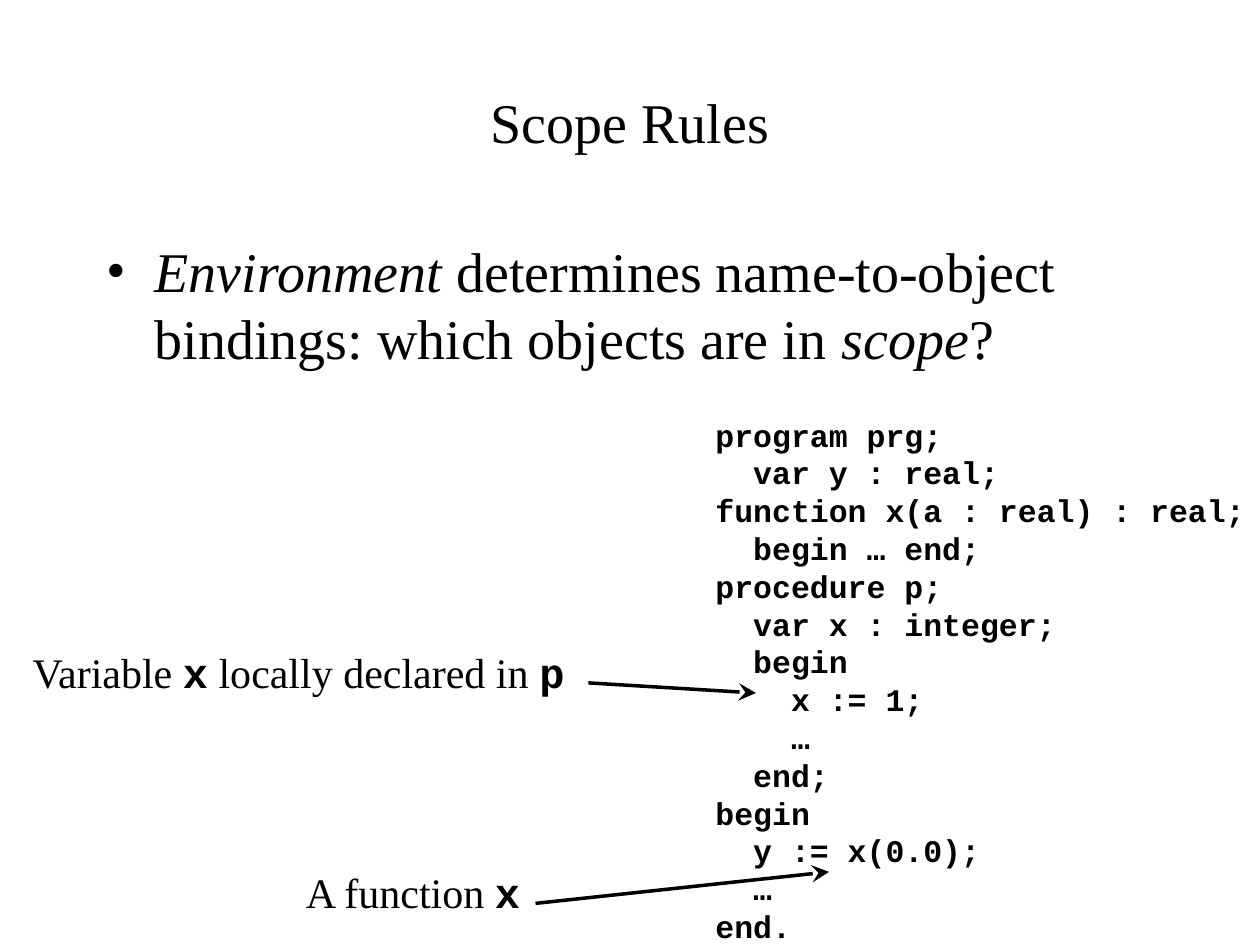
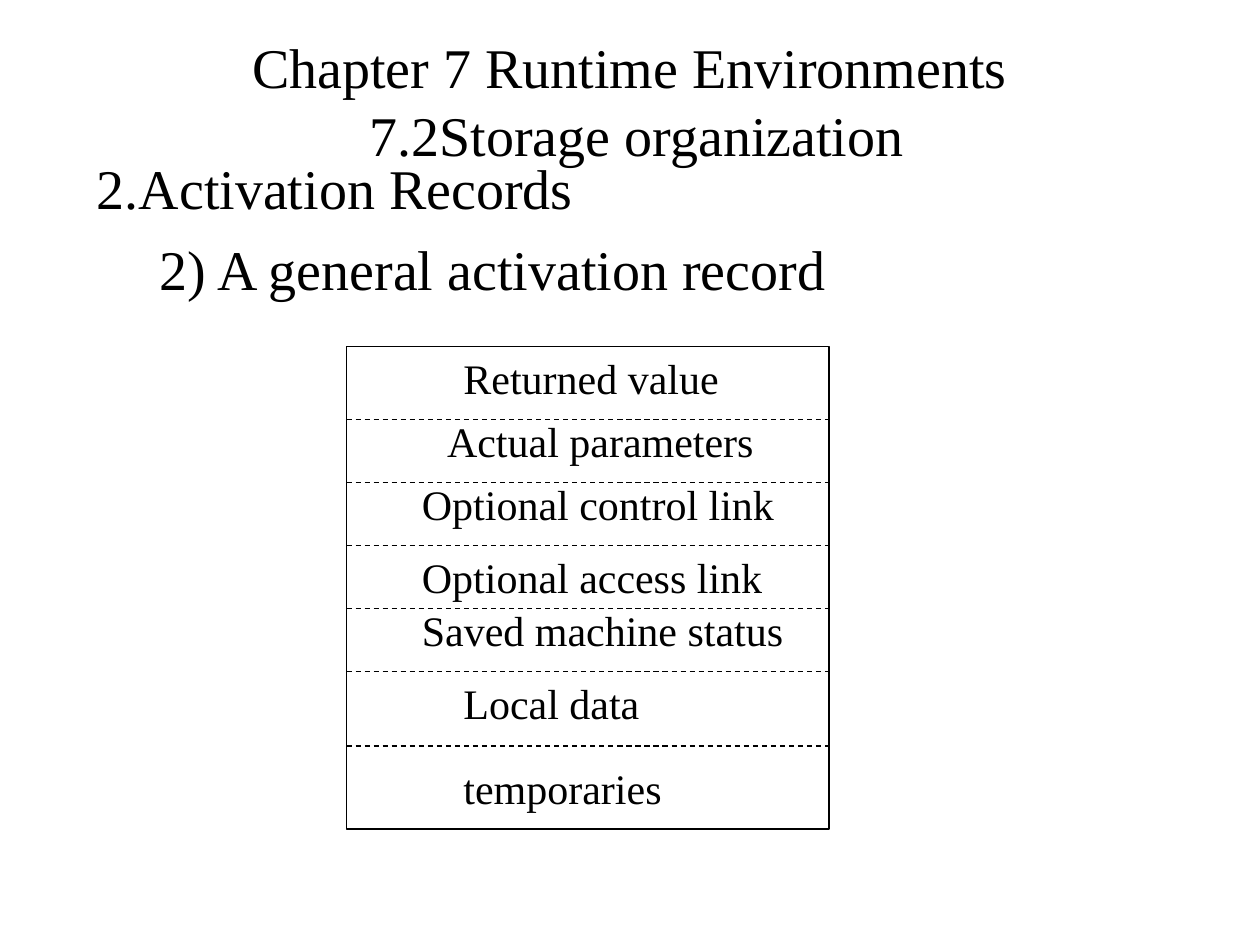
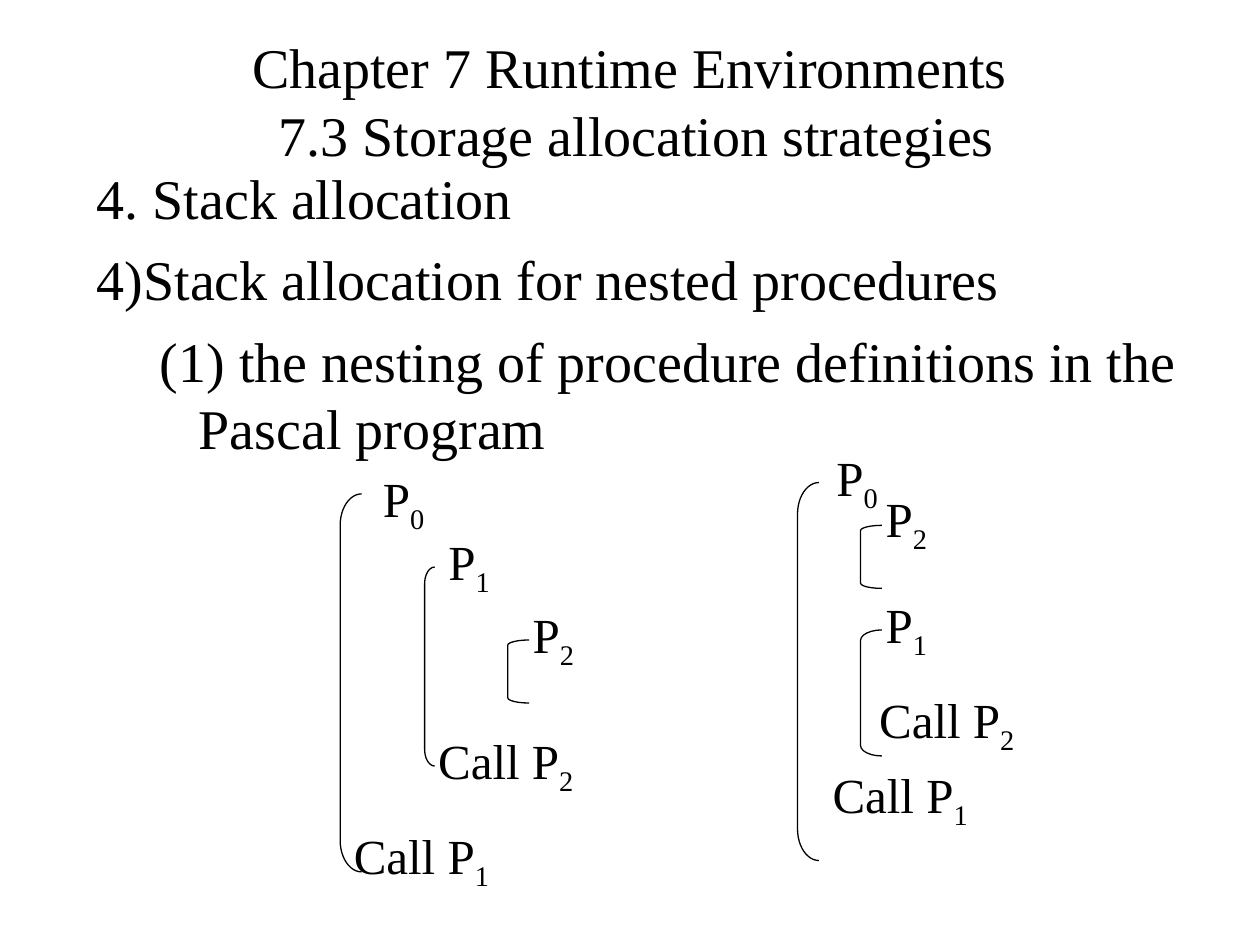
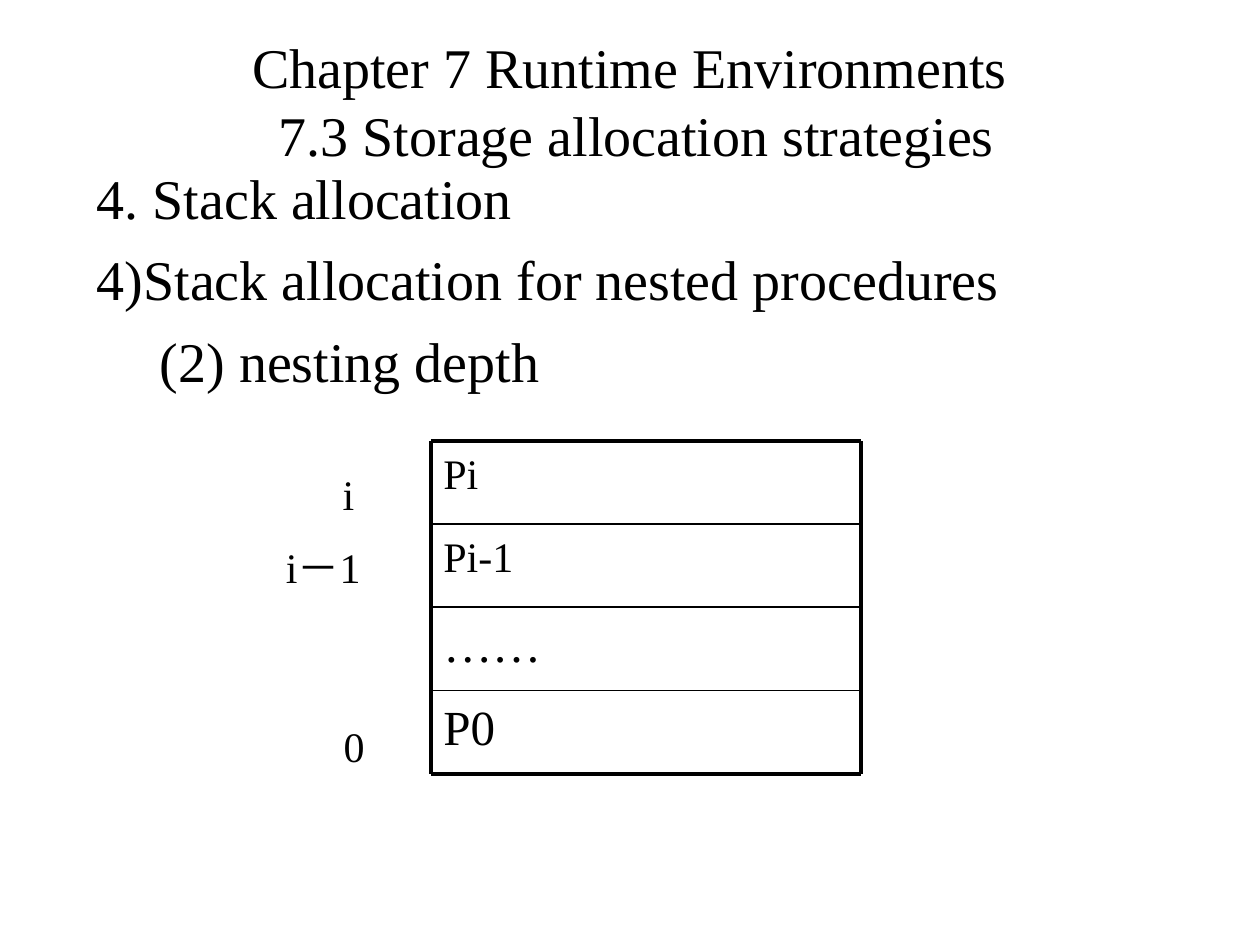
import lxml.etree
import pptx
import pptx.dml.color
import pptx.enum.dml
import pptx.enum.shapes
import pptx.enum.text
import pptx.oxml.ns
import pptx.util

Inches = pptx.util.Inches
Pt = pptx.util.Pt
qn = pptx.oxml.ns.qn

BLACK = pptx.dml.color.RGBColor(0x00, 0x00, 0x00)
WHITE = pptx.dml.color.RGBColor(0xFF, 0xFF, 0xFF)
SERIF = "Times New Roman"
MONO = "Courier New"
TITLE_ONLY = 5
HEADING_SIZE = 32
LABEL_SIZE = 24
CALL_SIZE = 28
INDENTS = [(0.38, -0.38), (0.81, -0.31)]
STACK_HEADINGS = [("4. Stack allocation", 0), ("4)Stack allocation for nested procedures", 0)]
STRATEGIES_TITLE = "Chapter 7 Runtime Environments\n 7.3 Storage allocation strategies"

DECLARATIONS = """program prg;
  var y : real;
function x(a : real) : real;
  begin … end;
procedure p;
  var x : integer;
  begin
    x := 1;
    …
  end;
begin"""
MAIN_BLOCK = """  y := x(0.0);
  …
end."""


def set_font(paragraph, size, name=SERIF, bold=False):
    """Give a whole paragraph its typeface, size and colour."""
    paragraph.font.name = name
    paragraph.font.size = Pt(size)
    paragraph.font.bold = bold
    paragraph.font.color.rgb = BLACK


def add_runs(paragraph, runs):
    """Add (text, style) runs; style is plain, italic, code or subscript."""
    for text, style in runs:
        run = paragraph.add_run()
        run.text = text
        if style == "italic":
            run.font.italic = True
        elif style == "code":
            run.font.name = MONO
            run.font.bold = True
        elif style == "subscript":
            run._r.get_or_add_rPr().set("baseline", "-25000")


def add_titled_slide(presentation, title, height=1.25):
    """Add a white slide with a centred title."""
    slide = presentation.slides.add_slide(presentation.slide_layouts[TITLE_ONLY])
    slide.background.fill.solid()
    slide.background.fill.fore_color.rgb = WHITE
    placeholder = slide.shapes.title
    placeholder.left, placeholder.top = Inches(0.75), Inches(0.17)
    placeholder.width, placeholder.height = Inches(8.5), Inches(height)
    frame = placeholder.text_frame
    frame.auto_size = pptx.enum.text.MSO_AUTO_SIZE.NONE
    frame.vertical_anchor = pptx.enum.text.MSO_ANCHOR.MIDDLE
    paragraph = frame.paragraphs[0]
    paragraph.text = title
    paragraph.alignment = pptx.enum.text.PP_ALIGN.CENTER
    set_font(paragraph, HEADING_SIZE)
    return slide


def add_frame(slide, left, top, width, height, wrap=False):
    """Add a text box, fitted to its text unless it wraps."""
    box = slide.shapes.add_textbox(Inches(left), Inches(top), Inches(width), Inches(height))
    frame = box.text_frame
    frame.word_wrap = wrap
    if not wrap:
        frame.auto_size = pptx.enum.text.MSO_AUTO_SIZE.SHAPE_TO_FIT_TEXT
    return frame


def add_label(slide, left, top, width, runs, size=LABEL_SIZE, height=0.5, wrap=False):
    """Add a one-line label made of runs."""
    paragraph = add_frame(slide, left, top, width, height, wrap).paragraphs[0]
    add_runs(paragraph, runs)
    set_font(paragraph, size)


def indent_paragraph(paragraph, level, bullet=None):
    """Set the hanging indent of an outline level and its bullet."""
    paragraph.level = level
    margin, hanging = INDENTS[level]
    properties = paragraph._p.get_or_add_pPr()
    properties.set("marL", str(Inches(margin)))
    properties.set("indent", str(Inches(hanging)))
    if bullet:
        lxml.etree.SubElement(properties, qn("a:buFont")).set("typeface", SERIF)
        lxml.etree.SubElement(properties, qn("a:buChar")).set("char", bullet)


def add_outline(slide, top, items):
    """Add the unbulleted headings of a chapter slide."""
    frame = add_frame(slide, 0.67, top, 9, 5.83, wrap=True)
    for index, (text, level) in enumerate(items):
        paragraph = frame.add_paragraph() if index else frame.paragraphs[0]
        paragraph.text = text
        indent_paragraph(paragraph, level)
        if index:
            paragraph.space_before = Pt(8)
        set_font(paragraph, HEADING_SIZE)


def add_line(slide, start, end, weight, dashed=False, arrow=False):
    """Add a straight black line, dashed or with an arrowhead."""
    line = slide.shapes.add_connector(
        pptx.enum.shapes.MSO_CONNECTOR.STRAIGHT, *map(Inches, start + end))
    line.line.color.rgb = BLACK
    line.line.width = Pt(weight)
    if dashed:
        line.line.dash_style = pptx.enum.dml.MSO_LINE.DASH
    properties = line.element.spPr
    if arrow:
        head = lxml.etree.SubElement(properties.find(qn("a:ln")), qn("a:tailEnd"))
        for name, value in (("type", "stealth"), ("w", "lg"), ("len", "lg")):
            head.set(name, value)
    lxml.etree.SubElement(properties, qn("a:effectLst"))


def add_outlined_shape(slide, kind, left, top, width, height):
    """Add an unfilled shape with a thin black outline."""
    shape = slide.shapes.add_shape(
        kind, Inches(left), Inches(top), Inches(width), Inches(height))
    shape.shadow.inherit = False
    shape.fill.background()
    shape.line.color.rgb = BLACK
    shape.line.width = Pt(0.75)
    return shape


def add_bracket(slide, left, top, height, width=0.17):
    """Add a procedure bracket whose curves each take a twelfth of its height."""
    bracket = add_outlined_shape(
        slide, pptx.enum.shapes.MSO_SHAPE.LEFT_BRACKET, left, top, width, height)
    bracket.adjustments[0] = height / 12 / width


def add_procedure(slide, left, top, number, call=False):
    """Add a procedure name or call with its number as a subscript."""
    name, width = ("Call P", 1.27) if call else ("P", 0.53)
    runs = [(name, "plain"), (str(number), "subscript")]
    add_label(slide, left, top, width, runs, CALL_SIZE, 0.63)


def build_scope_rules(presentation):
    """Build the slide on scope rules."""
    slide = add_titled_slide(presentation, "Scope Rules", 1.58)
    paragraph = add_frame(slide, 0.75, 1.83, 8.5, 5, wrap=True).paragraphs[0]
    add_runs(paragraph, [
        ("Environment", "italic"),
        (" determines name-to-object bindings: which objects are in ", "plain"),
        ("scope", "italic"),
        ("?", "plain"),
    ])
    indent_paragraph(paragraph, 0, "•")
    set_font(paragraph, HEADING_SIZE)

    frame = add_frame(slide, 5.58, 3.25, 4.4, 4.3)
    for paragraph, code in (
            (frame.paragraphs[0], DECLARATIONS), (frame.add_paragraph(), MAIN_BLOCK)):
        paragraph.text = code
        set_font(paragraph, 18, MONO, bold=True)

    add_label(slide, 0.16, 5.08, 4.48, [
        ("Variable ", "plain"), ("x", "code"),
        (" locally declared in ", "plain"), ("p", "code")])
    add_label(slide, 2.33, 6.83, 1.94, [("A function ", "plain"), ("x", "code")])
    add_line(slide, (4.67, 5.42), (6, 5.5), 2, arrow=True)
    add_line(slide, (4.25, 7.17), (6.58, 6.92), 2, arrow=True)


def build_activation_record(presentation):
    """Build the slide on the general activation record."""
    slide = add_titled_slide(
        presentation, "Chapter 7 Runtime Environments\n 7.2Storage organization")
    add_outline(slide, 1.17, [
        ("2.Activation Records", 0), ("2) A general activation record", 1)])
    left, top, side = 2.75, 2.75, 3.83
    add_outlined_shape(
        slide, pptx.enum.shapes.MSO_SHAPE.RECTANGLE, left, top, side, side)
    for divider in (3.33, 3.83, 4.33, 4.83, 5.33, 5.92):
        add_line(slide, (left, divider), (left + side, divider), 0.75, dashed=True)
    fields = [
        ("Returned value", 3.58, 2.75, 2.26),
        ("Actual parameters", 3.45, 3.25, 2.67),
        ("Optional control link", 3.25, 3.75, 3.03),
        ("Optional access link", 3.25, 4.33, 2.94),
        ("Saved machine status", 3.25, 4.75, 3.11),
        ("Local data", 3.58, 5.33, 1.63),
        ("temporaries", 3.58, 6, 1.81),
    ]
    for text, field_left, field_top, width in fields:
        add_label(slide, field_left, field_top, width, [(text, "plain")])


def build_procedure_nesting(presentation):
    """Build the slide comparing two nestings of procedures."""
    slide = add_titled_slide(presentation, STRATEGIES_TITLE)
    add_outline(slide, 1.25, STACK_HEADINGS + [
        ("(1) the nesting of procedure definitions in the Pascal program", 1)])
    names = [
        (2.94, 3.67, 0), (3.46, 4.17, 1), (4.13, 4.75, 2),
        (6.54, 3.5, 0), (6.93, 3.83, 2), (6.93, 4.67, 1),
    ]
    calls = [(3.38, 5.75, 2), (2.71, 6.5, 1), (6.88, 5.42, 2), (6.51, 6.02, 1)]
    for left, top, number in names:
        add_procedure(slide, left, top, number)
    for left, top, number in calls:
        add_procedure(slide, left, top, number, call=True)
    add_bracket(slide, 2.7, 3.92, 3)
    add_bracket(slide, 3.37, 4.5, 1.58, 0.08)
    add_bracket(slide, 4.03, 5.08, 0.5)
    add_bracket(slide, 6.33, 3.83, 3)
    add_bracket(slide, 6.83, 4.17, 0.5)
    add_bracket(slide, 6.83, 5, 1)


def build_nesting_depth(presentation):
    """Build the slide on nesting depth with its stack of procedures."""
    slide = add_titled_slide(presentation, STRATEGIES_TITLE)
    add_outline(slide, 1.25, STACK_HEADINGS + [("(2) nesting depth", 1)])
    left, right, top, row_height = 3.42, 6.83, 3.5, 0.66
    rows = [("Pi", 24), ("Pi-1", 24), ("……", 28), ("P0", 28)]
    bottom = top + len(rows) * row_height
    for index, (text, size) in enumerate(rows):
        add_label(slide, left, top + index * row_height, right - left,
                  [(text, "plain")], size, row_height, wrap=True)
    for index in range(len(rows) + 1):
        border = top + index * row_height
        weight = 2.25 if index in (0, len(rows)) else 1
        add_line(slide, (left, border), (right, border), weight)
    for side in (left, right):
        add_line(slide, (side, top), (side, bottom), 2.25)
    depths = [("i", 2.62, 3.67, 0.29), ("i－1", 2.17, 4.25, 0.95), ("0", 2.63, 5.67, 0.36)]
    for text, depth_left, depth_top, width in depths:
        add_label(slide, depth_left, depth_top, width, [(text, "plain")])


def main():
    """Build the presentation and save it."""
    presentation = pptx.Presentation()
    presentation.slide_width = Inches(10)
    presentation.slide_height = Inches(7.5)
    build_scope_rules(presentation)
    build_activation_record(presentation)
    build_procedure_nesting(presentation)
    build_nesting_depth(presentation)
    presentation.save("out.pptx")


if __name__ == "__main__":
    main()
